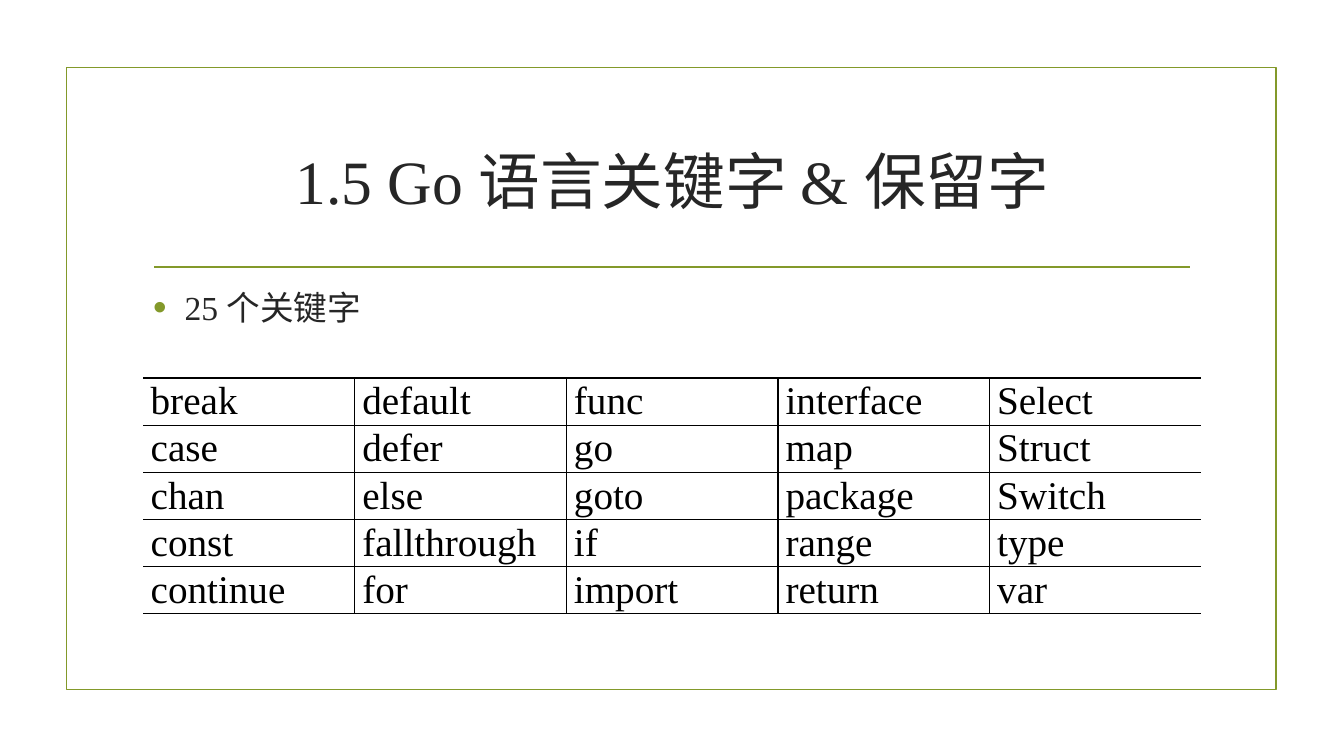
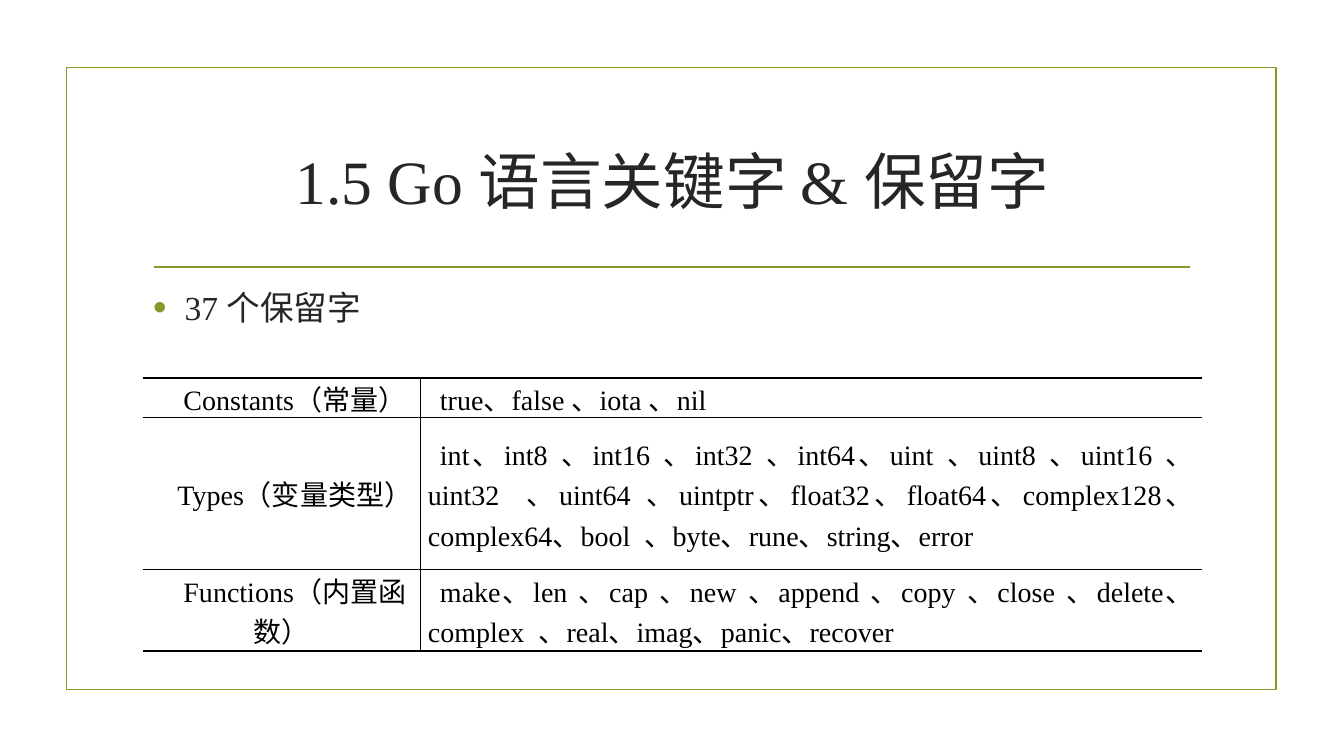
from lxml.etree import SubElement
from pptx import Presentation
from pptx.dml.color import RGBColor
from pptx.enum.lang import MSO_LANGUAGE_ID
from pptx.enum.shapes import MSO_CONNECTOR, MSO_SHAPE
from pptx.enum.text import MSO_ANCHOR, PP_ALIGN
from pptx.oxml.ns import qn
from pptx.util import Pt

TITLE = "1.5 Go 语言关键字 & 保留字"
KEYWORDS = [
    ("break", "default", "func", "interface", "Select"),
    ("case", "defer", "go", "map", "Struct"),
    ("chan", "else", "goto", "package", "Switch"),
    ("const", "fallthrough", "if", "range", "type"),
    ("continue", "for", "import", "return", "var"),
]
RESERVED = [
    ("Constants（常量）", "true、false 、iota 、nil"),
    ("Types（变量类型）",
     "int、int8 、int16 、int32 、int64、uint 、uint8 、uint16 、uint32  、uint64 、"
     "uintptr、float32、float64、complex128、complex64、bool  、byte、rune、string、error"),
    ("Functions（内置函数）",
     "make、len 、cap 、new 、append 、copy 、close 、delete、complex  、real、imag、"
     "panic、recover"),
]
J, C = PP_ALIGN.JUSTIFY, PP_ALIGN.CENTER
# Each column: width, alignment, first-line indent
SLIDES = [
    {"bullet": "25 个关键字", "rows": KEYWORDS, "size": 28,
     "columns": [(151.2, J, 0)] * 5, "heights": [31] * 5},
    {"bullet": "37 个保留字", "rows": RESERVED, "size": 20,
     "columns": [(198, C, 18.72), (558, J, 8.64)], "heights": [28, 109, 58]},
]

COLORS = {"accent": "83992A", "text": "262626", "table": "000000"}
FONT = "Times New Roman"
LEFT, WIDTH = 102.24, 756
FRAME = (47.52, 48.24, 864, 444.24)
TITLE_BOX = (LEFT, 77, WIDTH, 103)
BULLET_BOX = (LEFT, 201.6, WIDTH, 60)
RULE = (110.16, 190.8, 850.32, 190.8)
TABLE_TOP = 270
HANGING = 22.5


def rgb(name):
    return RGBColor.from_string(COLORS[name])


def pts(values):
    return [Pt(v) for v in values]


def set_attrs(obj, values):
    for name, value in values.items():
        setattr(obj, name, value)


def write(tf, text, size, color, align):
    """Fill a text frame with one formatted paragraph and return it."""
    tf.word_wrap = True
    p = tf.paragraphs[0]
    p.alignment = align
    r = p.add_run()
    r.text = text
    set_attrs(r.font, {"name": FONT, "size": Pt(size), "bold": False,
                       "language_id": MSO_LANGUAGE_ID.SIMPLIFIED_CHINESE})
    r.font.color.rgb = rgb(color)
    return p


def add_frame_and_rule(s):
    frame = s.shapes.add_shape(MSO_SHAPE.RECTANGLE, *pts(FRAME))
    frame.shadow.inherit = False
    frame.fill.background()
    rule = s.shapes.add_connector(MSO_CONNECTOR.STRAIGHT, *pts(RULE))
    SubElement(rule._element.spPr, qn("a:effectLst"))
    for sp in (frame, rule):
        sp.line.color.rgb = rgb("accent")
        sp.line.width = Pt(1.25)


def add_title(s):
    title = s.shapes.title
    set_attrs(title, dict(zip(("left", "top", "width", "height"), pts(TITLE_BOX))))
    title.text_frame.vertical_anchor = MSO_ANCHOR.MIDDLE
    write(title.text_frame, TITLE, 44, "text", C)


def add_bullet(s, text):
    box = s.shapes.add_textbox(*pts(BULLET_BOX))
    p = write(box.text_frame, text, 24, "text", PP_ALIGN.LEFT)
    pPr = p._p.get_or_add_pPr()
    pPr.set("marL", str(Pt(HANGING)))
    pPr.set("indent", str(-Pt(HANGING)))
    color = SubElement(pPr, qn("a:buClr"))
    SubElement(color, qn("a:srgbClr"), val=COLORS["accent"])
    SubElement(pPr, qn("a:buSzPct"), val="115000")
    SubElement(pPr, qn("a:buFont"), typeface="Arial")
    SubElement(pPr, qn("a:buChar"), char="•")


def add_borders(cell, sides):
    """Draw 1 pt lines on the given sides; clear the others."""
    tcPr = cell._tc.get_or_add_tcPr()
    for side in "LRTB":
        ln = SubElement(tcPr, qn(f"a:ln{side}"), w=str(Pt(1)))
        if side in sides:
            fill = SubElement(ln, qn("a:solidFill"))
            SubElement(fill, qn("a:srgbClr"), val=COLORS["table"])
        else:
            SubElement(ln, qn("a:noFill"))


def add_word_table(s, rows, size, columns, heights):
    shape = s.shapes.add_table(len(rows), len(columns),
                               *pts((LEFT, TABLE_TOP, WIDTH, sum(heights))))
    table = shape.table
    set_attrs(table, {"first_row": False, "horz_banding": False})
    for row, height in zip(table.rows, heights):
        row.height = Pt(height)
    last = len(columns) - 1
    for j, (width, align, indent) in enumerate(columns):
        table.columns[j].width = Pt(width)
        sides = "TB" + ("L" if j > 0 else "") + ("R" if j < last else "")
        for i, row in enumerate(rows):
            cell = table.cell(i, j)
            set_attrs(cell, {"margin_left": Pt(5.4), "margin_right": Pt(5.4),
                             "margin_top": 0, "margin_bottom": 0,
                             "vertical_anchor": MSO_ANCHOR.MIDDLE})
            add_borders(cell, sides)
            cell.fill.background()
            p = write(cell.text_frame, row[j], size, "table", align)
            p._p.get_or_add_pPr().set("indent", str(Pt(indent)))


def main():
    prs = Presentation()
    prs.slide_width, prs.slide_height = Pt(960), Pt(540)
    for content in SLIDES:
        s = prs.slides.add_slide(prs.slide_layouts[5])
        add_frame_and_rule(s)
        add_title(s)
        add_bullet(s, content["bullet"])
        add_word_table(s, content["rows"], content["size"],
                       content["columns"], content["heights"])
    prs.save("out.pptx")


if __name__ == "__main__":
    main()
